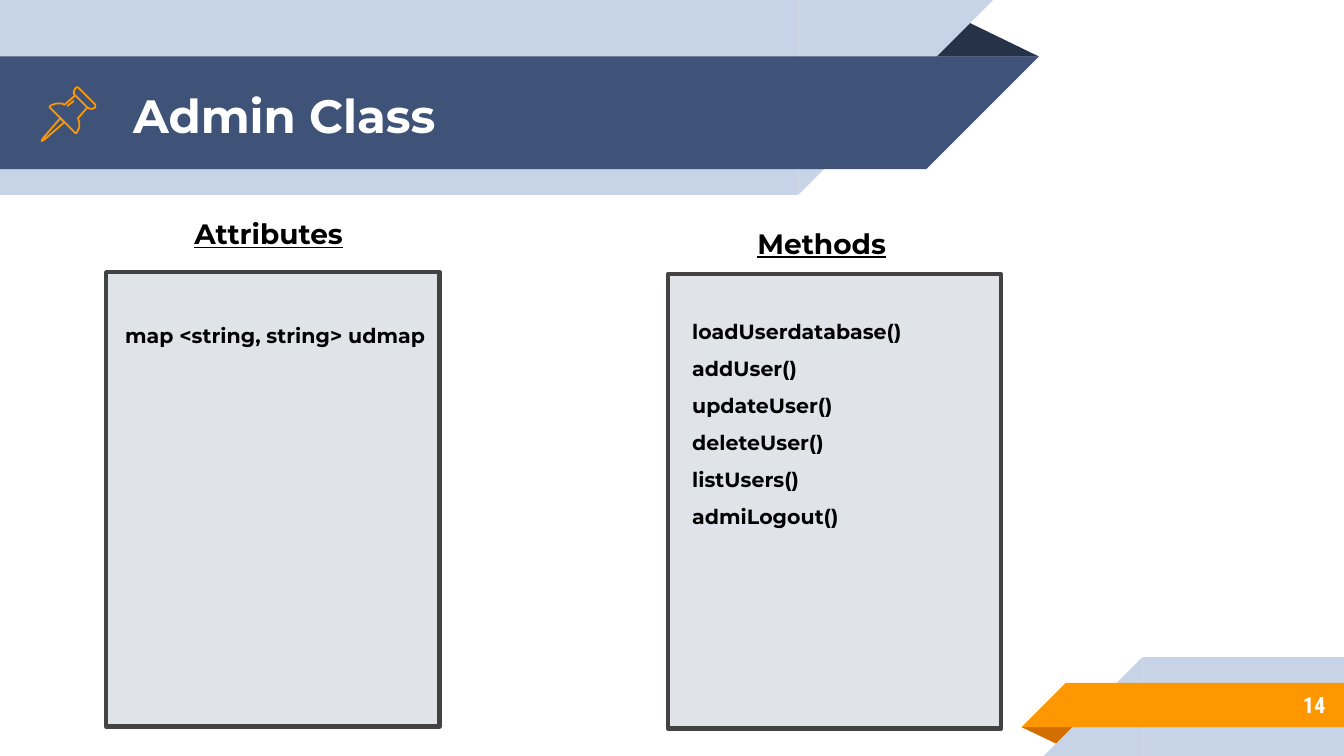
from pptx import Presentation
from pptx.dml.color import RGBColor
from pptx.enum.shapes import MSO_SHAPE
from pptx.enum.text import MSO_ANCHOR, MSO_AUTO_SIZE, PP_ALIGN
from pptx.util import Pt
from lxml.etree import SubElement
from pptx.oxml.ns import qn

COLORS = {"pale": "C7D3E6", "navy": "3F5378", "dark": "263248", "orange": "FF9800",
          "rust": "D26F00", "panel": "E0E4E9", "border": "434343",
          "text": "000000", "white": "FFFFFF"}

TITLE = ("Admin Class", (64.1, 31, 414, 60.5))
PAGE_NUMBER = ("14", (599.8, 365, 117.4, 25.2))
COLUMNS = [
    {"heading": "Attributes", "heading_box": (33.8, 108.7, 220.3, 32.4),
     "items": ["map <string, string> udmap"], "items_box": (59.8, 159.1, 176, 48.2),
     "panel": (56.9, 145.8, 178.6, 243.4)},
    {"heading": "Methods", "heading_box": (350.6, 114, 179.3, 32.4),
     "items": ["loadUserdatabase()", "addUser()", "updateUser()", "deleteUser()",
               "listUsers()", "admiLogout()"], "items_box": (363.6, 157, 166.3, 147.6),
     "panel": (357.8, 146.9, 178.6, 243.4)},
]
FOLDS = {"header": ((495.4, 10.1, 61.2, 20.2), "dark", 0),
         "footer": ((547.2, 389.5, 31, 10.1), "rust", 180)}
BANDS = {"header": [((0, 0, 427.7, 104.4), "pale"), ((0, 30.2, 496.1, 60.5), "navy")],
         "footer": [((612, 352.1, 108, 52.9), "pale"), ((571, 365.8, 149, 23.8), "orange")]}
PIN_UNIT = Pt(0.72)
PIN_LINES = [
    ([(45, 88), (32, 103), (31, 105), (33, 104), (48, 91)], True),
    ([(56, 71), (65, 80), (67, 81), (69, 81), (71, 80), (71, 78), (58, 65),
      (57, 65), (56, 66), (55, 68), (55, 70)], True),
    ([(56, 71), (48, 78), (46, 77), (42, 77), (39, 78), (37, 79), (37, 80), (38, 81),
      (55, 98), (56, 99), (57, 99), (58, 97), (59, 95), (59, 91), (58, 88), (65, 80)], False),
    ([(50, 79), (55, 75)], False),
]


def color(name):
    return RGBColor.from_string(COLORS[name])


def add_shape(slide, kind, box, fill, border=None, rotation=0):
    shape = slide.shapes.add_shape(kind, *map(Pt, box))
    shape.shadow.inherit = False
    shape.rotation = rotation
    shape.fill.solid()
    shape.fill.fore_color.rgb = color(fill)
    if border:
        shape.line.color.rgb = color(border)
        shape.line.width = Pt(2.25)
    else:
        shape.line.fill.background()
    return shape


def add_ribbon(slide, part):
    box, fill, rotation = FOLDS[part]
    fold = add_shape(slide, MSO_SHAPE.ISOSCELES_TRIANGLE, box, fill, rotation=rotation)
    fold.adjustments[0] = 0.32
    for (left, top, width, height), fill in BANDS[part]:
        add_shape(slide, MSO_SHAPE.RECTANGLE, (left, top, width, height), fill)
        tip_left, turn = (left + width, 90) if part == "header" else (left - height, 270)
        add_shape(slide, MSO_SHAPE.RIGHT_TRIANGLE, (tip_left, top, height, height), fill,
                  rotation=turn)


def add_pin(slide):
    for points, closed in PIN_LINES:
        builder = slide.shapes.build_freeform(*points[0], scale=PIN_UNIT)
        builder.add_line_segments(points[1:], close=closed)
        stroke = builder.convert_to_shape()
        stroke.shadow.inherit = False
        stroke.fill.background()
        stroke.line.color.rgb = color("orange")
        stroke.line.width = Pt(0.96)


def write(shape, text, box, size, fill="text", font="Montserrat", align=PP_ALIGN.LEFT,
          anchor=MSO_ANCHOR.TOP, spacing=1, underline=False):
    shape.left, shape.top, shape.width, shape.height = map(Pt, box)
    shape.element.getparent().append(shape.element)
    frame = shape.text_frame
    frame.text = text
    frame.word_wrap = True
    frame.auto_size = MSO_AUTO_SIZE.NONE
    frame.vertical_anchor = anchor
    frame.margin_left = frame.margin_right = frame.margin_top = frame.margin_bottom = Pt(7.2)
    for paragraph in frame.paragraphs:
        paragraph.alignment = align
        paragraph.line_spacing = spacing
        paragraph.space_before = paragraph.space_after = Pt(0)
        properties = paragraph._p.get_or_add_pPr()
        properties.set("marL", "0")
        properties.set("indent", "0")
        SubElement(properties, qn("a:buNone"))
        for run in paragraph.runs:
            run.font.name = font
            run.font.size = Pt(size)
            run.font.bold = True
            run.font.underline = underline
            run.font.color.rgb = color(fill)


def main():
    """Build the class overview slide with its attributes and methods."""
    presentation = Presentation()
    presentation.slide_width, presentation.slide_height = Pt(720), Pt(405)
    slide = presentation.slides.add_slide(presentation.slide_layouts.get_by_name("Comparison"))
    title, *bodies = slide.placeholders

    for part in BANDS:
        add_ribbon(slide, part)
    write(title, *TITLE, 25, "white", anchor=MSO_ANCHOR.MIDDLE)
    number, number_box = PAGE_NUMBER
    write(slide.shapes.add_textbox(*map(Pt, number_box)), number, number_box, 12, "white",
          "Roboto Condensed", PP_ALIGN.RIGHT, MSO_ANCHOR.MIDDLE)
    add_pin(slide)

    for column, heading, items in zip(COLUMNS, bodies[::2], bodies[1::2]):
        add_shape(slide, MSO_SHAPE.RECTANGLE, column["panel"], "panel", "border")
        write(heading, column["heading"], column["heading_box"], 15,
              align=PP_ALIGN.CENTER, underline=True)
        write(items, "\n".join(column["items"]), column["items_box"], 11, spacing=1.5)

    presentation.save("out.pptx")


if __name__ == "__main__":
    main()
